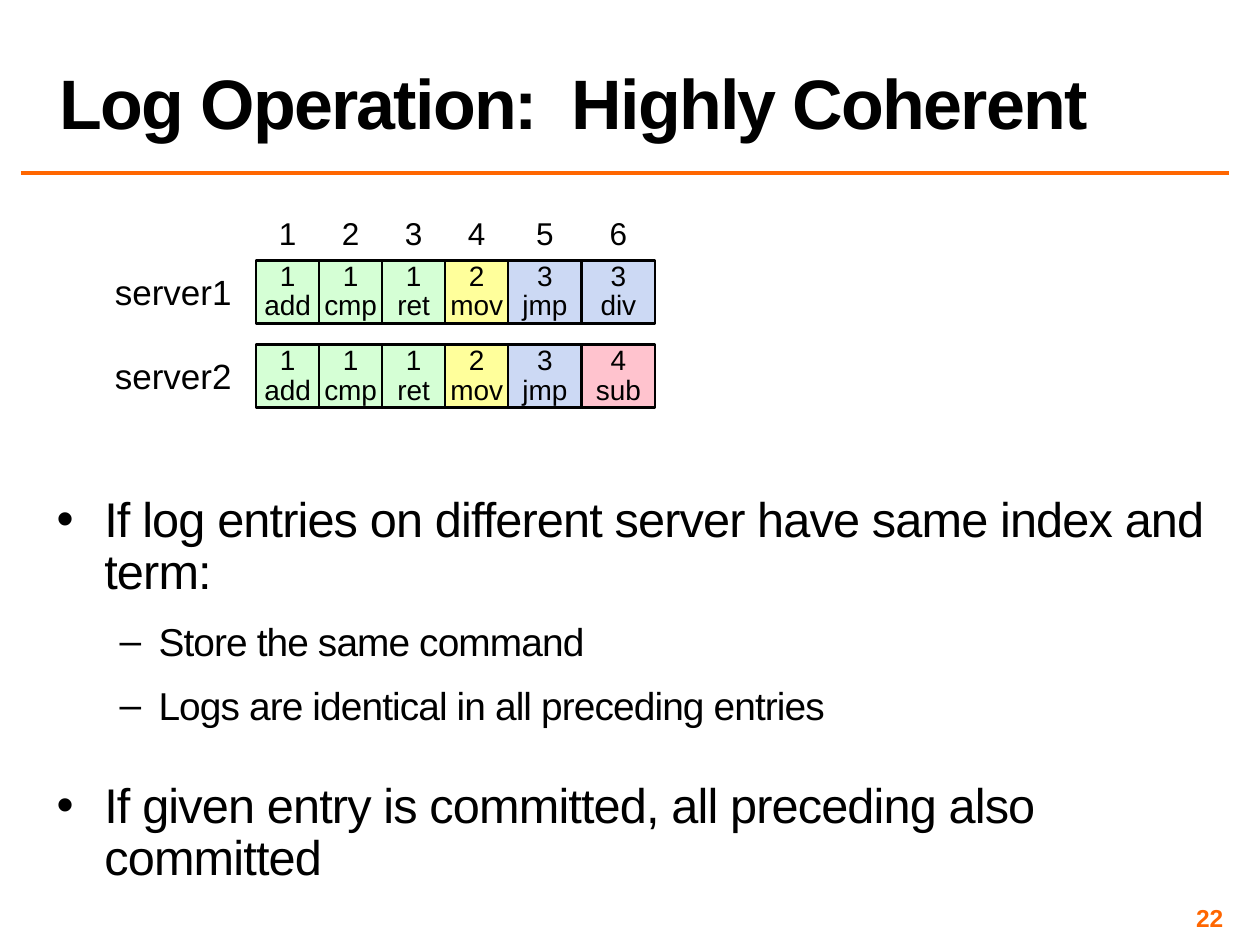
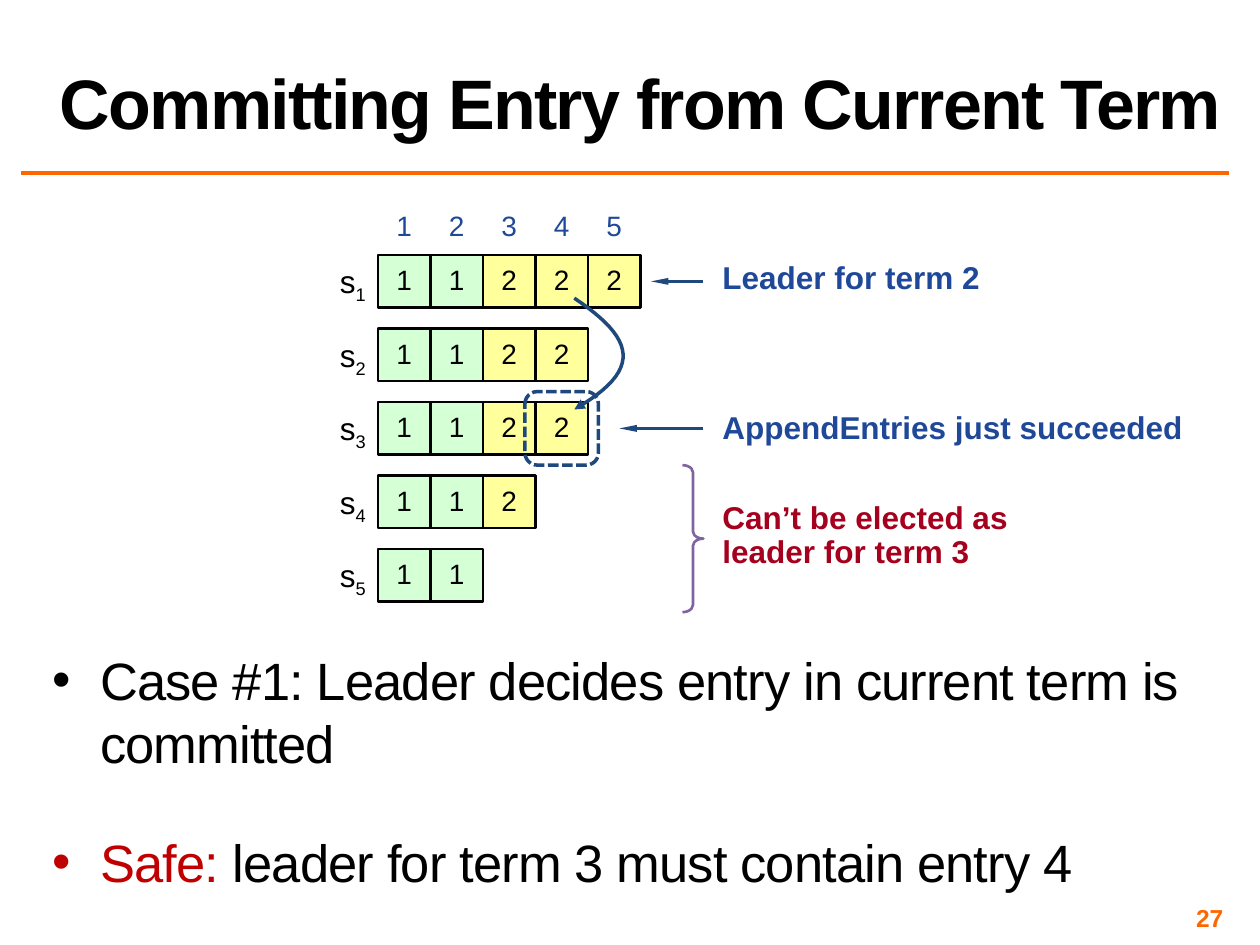
"""Build two slides on replicated logs: coherence, and committing from the current term."""
from itertools import accumulate

from lxml.etree import SubElement
from pptx import Presentation
from pptx.dml.color import RGBColor
from pptx.enum.dml import MSO_LINE_DASH_STYLE as Dash
from pptx.enum.shapes import MSO_CONNECTOR, MSO_SHAPE as Shape
from pptx.enum.text import MSO_ANCHOR as Anchor, MSO_AUTO_SIZE as Fit, PP_ALIGN as Align
from pptx.oxml.ns import qn
from pptx.util import Inches, Pt

COLORS = {
    "ink": "000000", "accent": "FF6600", "note": "1F4899", "pointer": "1F497D",
    "warning": "A5001E", "safe": "C00000", "brace": "8064A2",
    "term1": "D5FFD5", "term2": "FFFF9B", "term3": "CCD9F4", "term4": "FFC3CE",
}
RGB = {name: RGBColor.from_string(value) for name, value in COLORS.items()}
COLUMNS, ROWS = 120, 90
UNIT = Inches(10) / COLUMNS


def grid(*lengths):
    """Turn grid columns and rows into slide lengths."""
    return [round(length * UNIT) for length in lengths]


def write(box, text, size=16, color="ink", bold=False, align=Align.LEFT, anchor=Anchor.TOP,
          inset=0, wrap=True, spacing=None, before=0, after=0, bullet=None, indent=(0, 0),
          level=0, tracking=0):
    """Add one paragraph; text is a string or a list of (string, colour, baseline) runs."""
    frame = box.text_frame
    frame.word_wrap, frame.vertical_anchor, frame.auto_size = wrap, anchor, Fit.NONE
    frame.margin_left = frame.margin_right = Inches(inset)
    frame.margin_top = frame.margin_bottom = Inches(inset if inset < 0.1 else 0.05)
    paragraph = frame.add_paragraph() if frame.text else frame.paragraphs[0]
    paragraph.level, paragraph.alignment = level, align
    paragraph.line_spacing = spacing
    paragraph.space_before, paragraph.space_after = Pt(before), Pt(after)
    if bullet:
        properties = paragraph._p.get_or_add_pPr()
        properties.set("marL", str(Inches(indent[0])))
        properties.set("indent", str(Inches(indent[1])))
        SubElement(properties, qn("a:buFont"), typeface="Arial")
        SubElement(properties, qn("a:buChar"), char=bullet)
    runs = [(text, color, 0)] if isinstance(text, str) else text
    for words, run_color, baseline in runs:
        for number, line in enumerate(words.split("\n")):
            if number:
                paragraph.add_line_break()
            run = paragraph.add_run()
            run.text = line
            run.font.name, run.font.size, run.font.bold = "Arial", Pt(size), bold
            run.font.color.rgb = RGB[run_color]
            if tracking:
                run._r.get_or_add_rPr().set("spc", str(round(tracking * 100)))
            if baseline:
                run._r.get_or_add_rPr().set("baseline", str(baseline * 1000))


deck = Presentation()
deck.slide_width, deck.slide_height = grid(COLUMNS, ROWS)

main_point = dict(size=27.8, bullet="•", indent=(0.38, -0.38), spacing=0.9, after=6, tracking=-0.5)
sub_point = dict(size=22.2, bullet="–", indent=(0.81, -0.31), spacing=0.85, before=8, after=6,
                 level=1, tracking=-0.5)
case_point = main_point | dict(size=30, spacing=None, after=8)
coherent_log = dict(
    title="Log Operation:  Highly Coherent", title_width=112.5, number="22",
    left=24.4, top=24.8, widths=[6, 6, 6, 6, 7, 7], height=6, pitch=8,
    index=dict(top=19.8, height=4.8, size=18, color="ink"),
    label=dict(left=10.9, drop=1, width=11.2, height=4.1, size=20, wrap=False),
    servers={
        "server1": ["1\nadd", "1\ncmp", "1\nret", "2\nmov", "3\njmp", "3\ndiv"],
        "server2": ["1\nadd", "1\ncmp", "1\nret", "2\nmov", "3\njmp", "4\nsub"],
    },
    body=(4.9, 46.7, 115.1, 40),
    points=[
        ("If log entries on different server have same index and term:", main_point),
        ("Store the same command", sub_point),
        ("Logs are identical in all preceding entries", sub_point),
        ("If given entry is committed, all preceding also committed",
         main_point | dict(before=24, after=8)),
    ],
    notes=[], arrows=[],
)
current_term = dict(
    title="Committing Entry from Current Term", title_width=115.5, number="27",
    left=36, top=24.3, widths=[5] * 5, height=5, pitch=7,
    index=dict(top=19.3, height=4.4, size=16, color="note"),
    label=dict(left=31.1, drop=0.7, width=5, height=3.6, size=18, wrap=True),
    servers={"s1": "11222", "s2": "1122", "s3": "1122", "s4": "112", "s5": "11"},
    body=(4.5, 61.2, 115.5, 25),
    points=[
        ("Case #1: Leader decides entry in current term is committed", case_point),
        ([("Safe: ", "safe", 0), ("leader for term 3 must contain entry 4", "ink", 0)],
         case_point | dict(before=24)),
    ],
    notes=[
        ("Leader for term 2", 25, 33.2, 3.2, "note"),
        ("AppendEntries just succeeded", 39.25, 50.3, 3.2, "note"),
        ("Can’t be elected as\nleader for term 3", 47.9, 33.2, 6.4, "warning"),
    ],
    arrows=[(67, 62, 26.8), (67, 59, 40.8)],
)

for topic in (coherent_log, current_term):
    slide = deck.slides.add_slide(deck.slide_layouts[5])
    shapes = slide.shapes
    title = shapes.title
    title.left, title.top, title.width, title.height = grid(4.5, 0.25, topic["title_width"], 14)
    write(title, topic["title"], size=40, bold=True, anchor=Anchor.BOTTOM, inset=0.1,
          spacing=0.8, tracking=-1)

    lines = [(2, 117, 16.5, "accent", 2)]
    lines += [(*arrow, "pointer", 1.5) for arrow in topic["arrows"]]
    for start, end, row, color, weight in lines:
        line = shapes.add_connector(MSO_CONNECTOR.STRAIGHT, *grid(start, row, end, row))
        line.line.color.rgb, line.line.width = RGB[color], Pt(weight)
        if color == "pointer":
            SubElement(line.line._get_or_add_ln(), qn("a:tailEnd"),
                       type="triangle", w="sm", len="lg")
        SubElement(line._element.spPr, qn("a:effectLst"))

    points_box = shapes.add_textbox(*grid(*topic["body"]))
    for words, style in topic["points"]:
        write(points_box, words, inset=0.04, **style)
    page_number = shapes.add_textbox(*grid(89, 86, 28, 2.8))
    write(page_number, topic["number"], size=14, color="accent", bold=True, align=Align.RIGHT,
          anchor=Anchor.MIDDLE, inset=0.04)

    widths, index, label = topic["widths"], topic["index"], topic["label"]
    lefts = list(accumulate(widths[:-1], initial=topic["left"]))
    for position, (left, width) in enumerate(zip(lefts, widths), 1):
        heading = shapes.add_textbox(*grid(left, index["top"], width, index["height"]))
        write(heading, str(position), size=index["size"], color=index["color"],
              align=Align.CENTER, inset=0.1)

    for row, (server, entries) in enumerate(topic["servers"].items()):
        top = topic["top"] + row * topic["pitch"]
        server_label = shapes.add_textbox(
            *grid(label["left"], top + label["drop"], label["width"], label["height"]))
        name = [("s", "ink", 0), (server[1:], "ink", -25)] if len(server) == 2 else server
        write(server_label, name, size=label["size"], align=Align.CENTER, wrap=label["wrap"])
        for left, width, entry in zip(lefts, widths, entries):
            cell = shapes.add_shape(Shape.RECTANGLE, *grid(left, top, width, topic["height"]))
            cell.shadow.inherit = False
            cell.fill.solid()
            cell.fill.fore_color.rgb = RGB["term" + entry[0]]
            cell.line.color.rgb, cell.line.width = RGB["ink"], Pt(1.5)
            write(cell, entry, align=Align.CENTER, anchor=Anchor.MIDDLE, spacing=Pt(17))

    for words, top, width, height, color in topic["notes"]:
        note = shapes.add_textbox(*grid(68.8, top, width, height))
        write(note, words, size=18, color=color, bold=True, spacing=Pt(19))

brace = shapes.add_shape(Shape.RIGHT_BRACE, *grid(65, 44.3, 2, 14))
brace.adjustments[0], brace.adjustments[1] = 0.34, 0.5
appended_entry = shapes.add_shape(Shape.ROUNDED_RECTANGLE, *grid(50, 37.3, 7, 7))

curve = [(54.7, 28.4), (60.5, 32.3), (61.3, 35.2), (54.7, 39)]
steps = [step / 24 for step in range(25)]
path_points = [
    grid(*[(1 - t) ** 3 * a + 3 * (1 - t) ** 2 * t * b + 3 * (1 - t) * t ** 2 * c + t ** 3 * d
           for a, b, c, d in zip(*curve)])
    for t in steps
]
builder = shapes.build_freeform(*path_points[0])
builder.add_line_segments(path_points[1:], close=False)
replication = builder.convert_to_shape()

for outline, color, weight in ((brace, "brace", 1.5), (appended_entry, "pointer", 2),
                               (replication, "pointer", 2)):
    outline.shadow.inherit = False
    outline.fill.background()
    outline.line.color.rgb, outline.line.width = RGB[color], Pt(weight)
appended_entry.line.dash_style = Dash.SQUARE_DOT
SubElement(replication.line._get_or_add_ln(), qn("a:tailEnd"), type="triangle")

deck.save("out.pptx")
